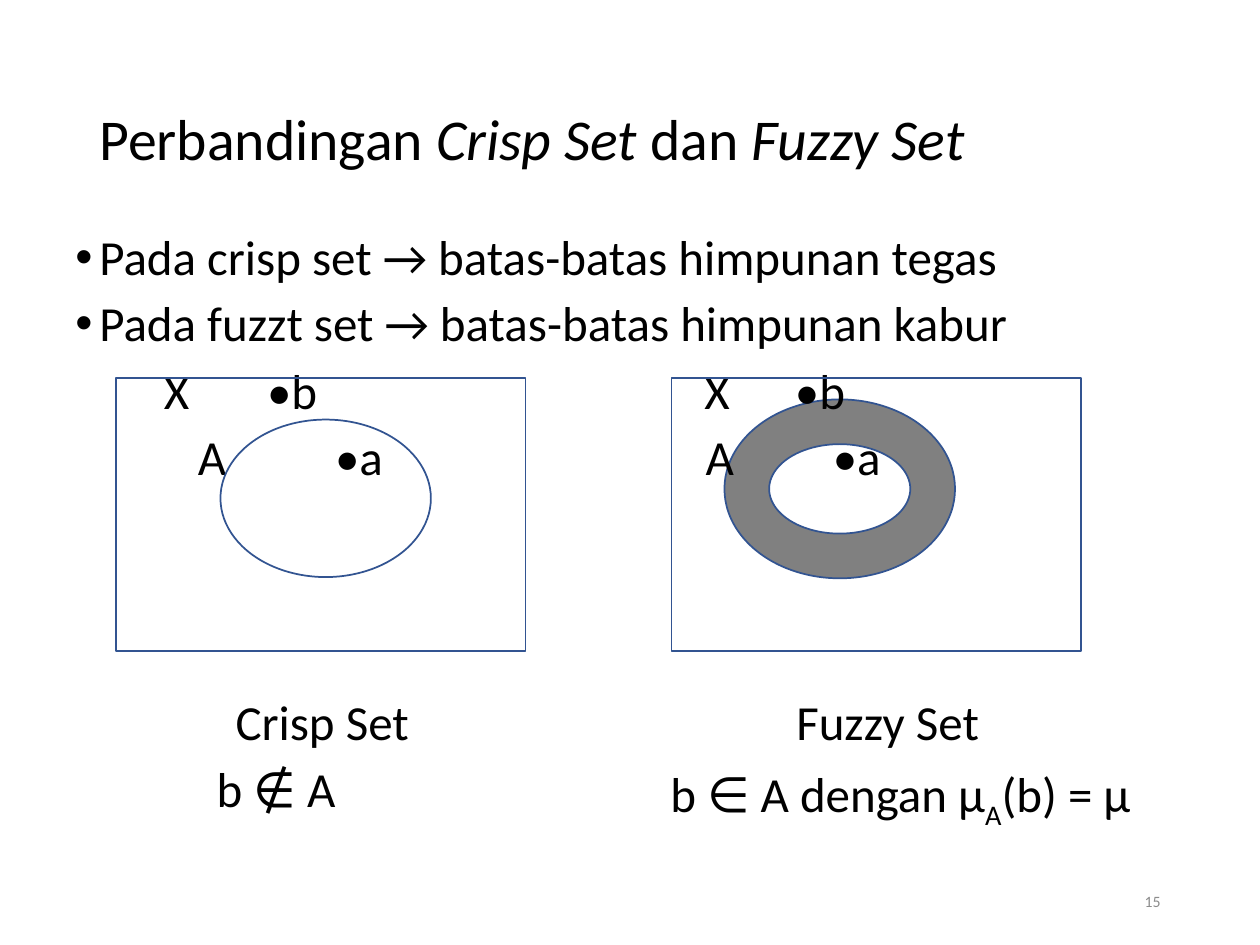
import pptx
import pptx.dml.color
import pptx.enum.shapes
import pptx.enum.text
import pptx.oxml
import pptx.oxml.ns
import pptx.util

Inches = pptx.util.Inches
Pt = pptx.util.Pt
SHAPES = pptx.enum.shapes.MSO_SHAPE
ANCHOR = pptx.enum.text.MSO_ANCHOR
ALIGN = pptx.enum.text.PP_ALIGN
COLORS = {"text": "000000", "number": "8C8C8C", "outline": "325491", "ring": "808080"}


def rgb(key):
    return pptx.dml.color.RGBColor.from_string(COLORS[key])


class SlideWriter:
    font_name = "Calibri"
    hanging = Inches(0.19)

    def __init__(self, slide):
        self.slide = slide

    def text(self, box, paragraphs, size=28, color="text", inset=(0.1, 0.05),
             wrap=True, bullets=False, frame_format=None, paragraph_format=None):
        frame = self.slide.shapes.add_textbox(*map(Inches, box)).text_frame
        side, edge = map(Inches, inset)
        settings = {"word_wrap": wrap, "margin_left": side, "margin_right": side,
                    "margin_top": edge, "margin_bottom": edge, **(frame_format or {})}
        for key, value in settings.items():
            setattr(frame, key, value)
        for index, runs in enumerate(paragraphs):
            paragraph = frame.add_paragraph() if index else frame.paragraphs[0]
            for key, value in {"line_spacing": 0.9, **(paragraph_format or {})}.items():
                setattr(paragraph, key, value)
            if index:
                paragraph.space_before = Pt(7.5)
            if bullets:
                self.bullet(paragraph)
            for words, style in runs:
                run = paragraph.add_run()
                run.text = words
                run.font.color.rgb = rgb(color)
                for key, value in {"name": self.font_name, "size": Pt(size)}.items():
                    setattr(run.font, key, value)
                if style == "italic":
                    run.font.italic = True
                elif style == "subscript":
                    run.font._element.set("baseline", "-25000")

    def bullet(self, paragraph):
        properties = paragraph._p.get_or_add_pPr()
        properties.set("marL", str(self.hanging))
        properties.set("indent", str(-self.hanging))
        for tag, key, value in (("a:buFont", "typeface", "Arial"), ("a:buChar", "char", "•")):
            mark = pptx.oxml.parse_xml(f"<{tag} {pptx.oxml.ns.nsdecls('a')}/>")
            mark.set(key, value)
            properties.append(mark)

    def label(self, left, top, *runs):
        self.text((left, top, 4, 0.45), [runs], inset=(0, 0), wrap=False)

    def outline(self, kind, box, fill=None):
        shape = self.slide.shapes.add_shape(kind, *map(Inches, box))
        shape.shadow.inherit = False
        if fill:
            shape.fill.solid()
            shape.fill.fore_color.rgb = rgb(fill)
        else:
            shape.fill.background()
        shape.line.color.rgb = rgb("outline")
        shape.line.width = Pt(1)


def main():
    deck = pptx.Presentation()
    deck.slide_width, deck.slide_height = Inches(10), Inches(7.5)
    writer = SlideWriter(deck.slides.add_slide(deck.slide_layouts[6]))

    writer.outline(SHAPES.DONUT, (5.75, 3.17, 1.83, 1.42), "ring")
    title = [("Perbandingan ", None), ("Crisp Set ", "italic"),
             ("dan ", None), ("Fuzzy Set", "italic")]
    writer.text((0.69, 0.4, 8.62, 1.45), [title], size=33,
                frame_format={"vertical_anchor": ANCHOR.MIDDLE})
    boundaries = [("crisp", "tegas"), ("fuzzt", "kabur")]
    writer.text((0.5, 1.8, 9, 1.1),
                [[(f"Pada {kind} set → batas-batas himpunan {edge}", None)]
                 for kind, edge in boundaries], bullets=True)

    row_tops = (2.91, 3.44, 5.54, 6.07)
    membership = [("b ∈ A dengan μ", None), ("A", "subscript"), ("(b) = μ", None)]
    diagrams = [
        (0.92, (1.3, 2.12), (1.57, 2.66), 1.87, "Crisp Set", 1.72, [("b ∉ A", None)]),
        (5.33, (5.59, 6.31), (5.6, 6.61), 6.32, "Fuzzy Set", 5.32, membership),
    ]
    for frame_left, outer, inner, name_left, name, rule_left, rule in diagrams:
        for lefts, words, top in ((outer, ("X", "•b"), row_tops[0]),
                                  (inner, ("A", "•a"), row_tops[1])):
            for left, word in zip(lefts, words):
                writer.label(left, top, (word, None))
        writer.label(name_left, row_tops[2], (name, None))
        writer.label(rule_left, row_tops[3], *rule)
        writer.outline(SHAPES.RECTANGLE, (frame_left, 3, 3.25, 2.17))
    writer.outline(SHAPES.OVAL, (1.75, 3.33, 1.67, 1.25))

    writer.text((7.06, 6.95, 2.25, 0.4), [[("15", None)]], size=9, color="number",
                frame_format={"vertical_anchor": ANCHOR.MIDDLE},
                paragraph_format={"alignment": ALIGN.RIGHT, "line_spacing": 1.0})
    deck.save("out.pptx")


if __name__ == "__main__":
    main()
